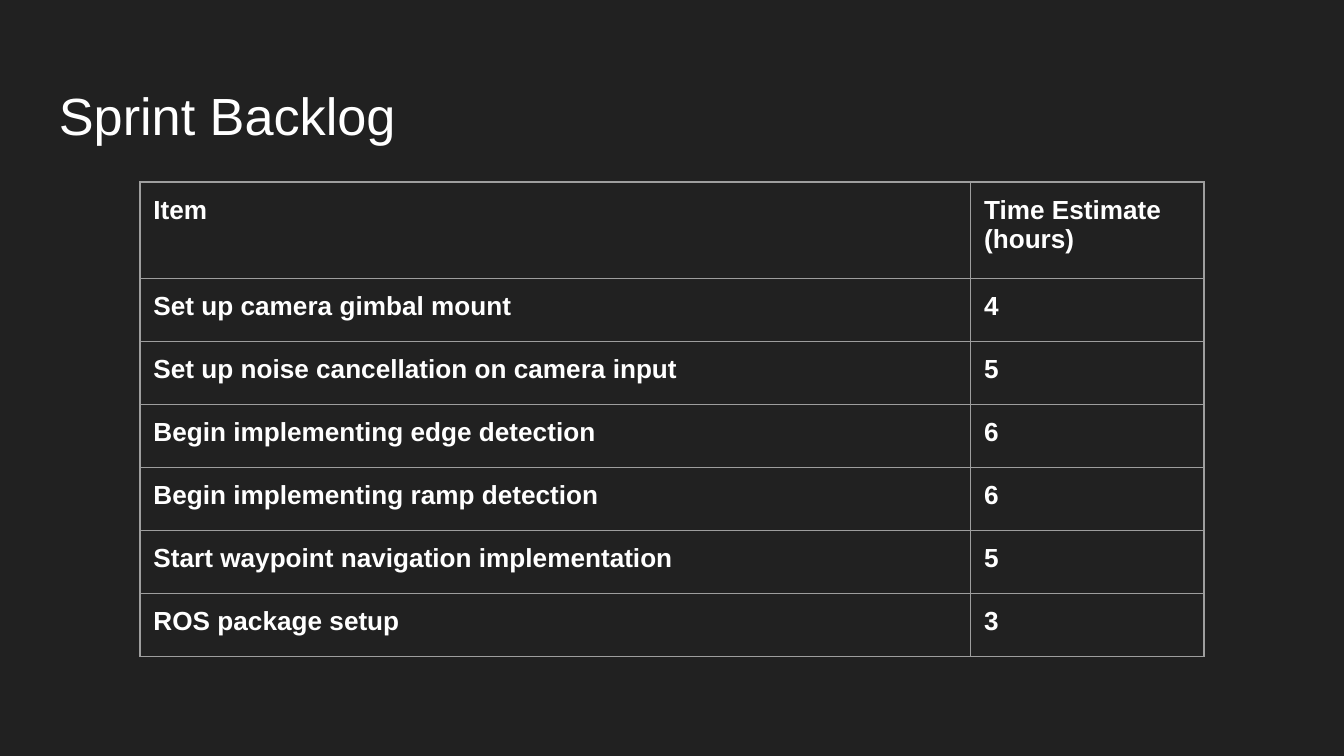
import pptx
import pptx.dml.color
import pptx.enum.text
import pptx.oxml
import pptx.oxml.ns
import pptx.util
from dataclasses import dataclass

Pt = pptx.util.Pt
RGB = pptx.dml.color.RGBColor.from_string


@dataclass(frozen=True)
class Theme:
    background: str = "212121"
    text: str = "FFFFFF"
    border: str = "9E9E9E"
    font: str = "Arial"
    title_size: float = 28
    cell_size: float = 14
    border_width: float = 0.75
    inset: float = 7.2


THEME = Theme()

BACKLOG = [
    ("Item", "Time Estimate (hours)"),
    ("Set up camera gimbal mount", "4"),
    ("Set up noise cancellation on camera input", "5"),
    ("Begin implementing edge detection", "6"),
    ("Begin implementing ramp detection", "6"),
    ("Start waypoint navigation implementation", "5"),
    ("ROS package setup", "3"),
]


def set_attrs(obj, values):
    for name, value in values.items():
        setattr(obj, name, value)


def write_text(tf, text, size, bold=False):
    r = tf.paragraphs[0].add_run()
    r.text = text
    set_attrs(r.font, {"name": THEME.font, "size": Pt(size), "bold": bold})
    r.font.color.rgb = RGB(THEME.text)


def insets(top=THEME.inset):
    side = Pt(THEME.inset)
    return {"margin_left": side, "margin_right": side,
            "margin_top": Pt(top), "margin_bottom": side}


def set_borders(cell):
    tc_pr = cell._tc.get_or_add_tcPr()
    for i, side in enumerate(("lnL", "lnR", "lnT", "lnB")):
        line = pptx.oxml.parse_xml(
            f'<a:{side} {pptx.oxml.ns.nsdecls("a")} w="{Pt(THEME.border_width)}">'
            f'<a:solidFill><a:srgbClr val="{THEME.border}"/></a:solidFill></a:{side}>')
        tc_pr.insert(i, line)  # borders come before the fill


def add_title(s, text, x, y, w, h):
    tf = s.shapes.add_textbox(Pt(x), Pt(y), Pt(w), Pt(h)).text_frame
    set_attrs(tf, {"word_wrap": True,
                   "vertical_anchor": pptx.enum.text.MSO_ANCHOR.TOP,
                   **insets(top=9.5)})
    write_text(tf, text, THEME.title_size)


def add_backlog(s, rows, x, y, w, h, header_h=51.75, hours_w=125):
    n = len(rows)
    frame = s.shapes.add_table(n, 2, Pt(x), Pt(y), Pt(w), Pt(h))
    table = frame.table
    set_attrs(table, {"first_row": False, "horz_banding": False})

    # Column widths and row heights
    for col, width in zip(table.columns, (w - hours_w, hours_w)):
        col.width = Pt(width)
    row_h = (h - header_h) / (n - 1)
    for i, row in enumerate(table.rows):
        row.height = Pt(row_h if i else header_h)

    # Cells
    for i, values in enumerate(rows):
        for j, value in enumerate(values):
            cell = table.cell(i, j)
            set_attrs(cell, insets())
            cell.fill.background()
            set_borders(cell)
            write_text(cell.text_frame, value, THEME.cell_size, bold=True)


def main():
    prs = pptx.Presentation()
    set_attrs(prs, {"slide_width": Pt(720), "slide_height": Pt(405)})
    s = prs.slides.add_slide(prs.slide_layouts[6])
    s.background.fill.solid()
    s.background.fill.fore_color.rgb = RGB(THEME.background)

    add_title(s, "Sprint Backlog", 24.5, 35, 671, 45)
    add_backlog(s, BACKLOG, 75, 97.5, 570, 254.25)

    prs.save("out.pptx")


if __name__ == "__main__":
    main()
